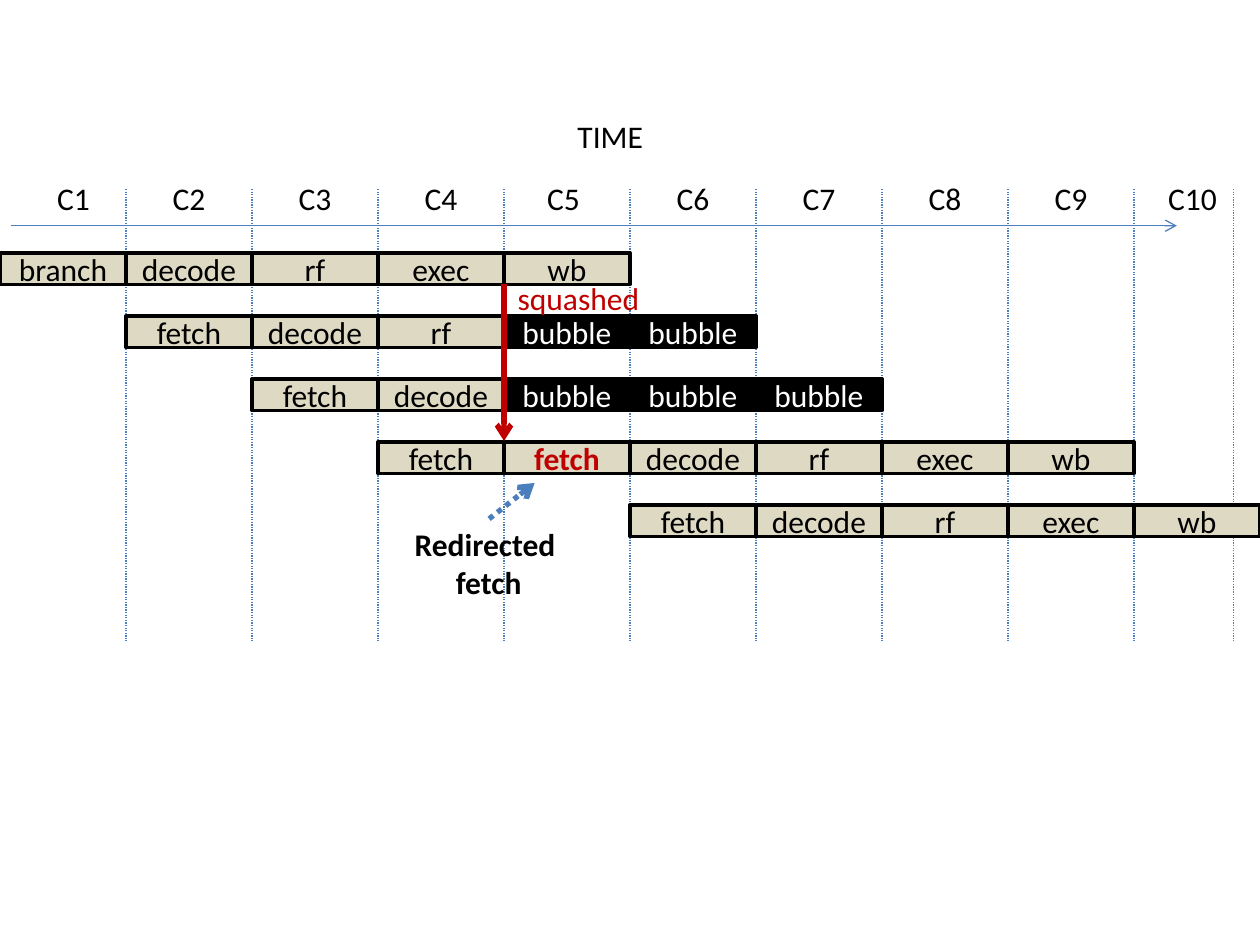
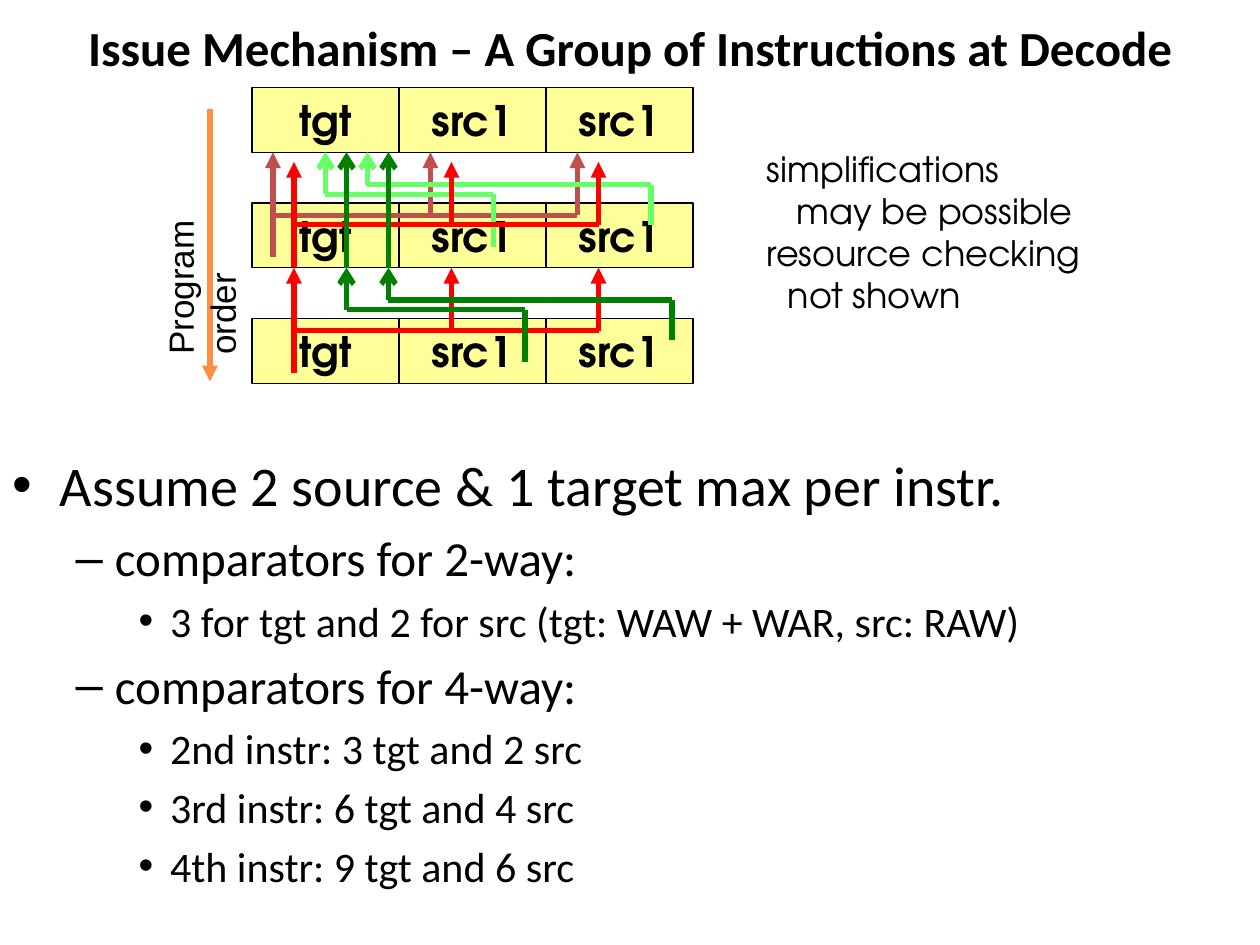
import pptx
import pptx.util
import pptx.dml.color
import pptx.enum.dml
import pptx.enum.shapes
import pptx.enum.text
import pptx.oxml.ns
from lxml import etree

Pt = pptx.util.Pt
ALIGN = pptx.enum.text.PP_ALIGN
FIT = pptx.enum.text.MSO_AUTO_SIZE
BLACK, WHITE, BLUE, RED = "000000", "FFFFFF", "4B7EBC", "C00000"
TAN, YELLOW, ROSE, SCARLET = "DDD9C3", "FFFF99", "C0504D", "FF0000"
LIME, GREEN, ORANGE = "66FF66", "008000", "FF8E41"
SANS, GEO = "Calibri", "TeX Gyre Adventor"


def rgb(code):
    return pptx.dml.color.RGBColor.from_string(code)


def tag(name):
    return pptx.oxml.ns.qn("a:" + name)


class Deck:
    def __init__(self):
        self.prs = pptx.Presentation()
        self.prs.slide_width, self.prs.slide_height = Pt(720), Pt(540)
        self.slide = None

    def page(self, layout):
        self.slide = self.prs.slides.add_slide(self.prs.slide_layouts[layout])

    def style(self, para, size, color=BLACK, bold=False, face=SANS):
        font = para.font
        font.name, font.size, font.bold = face, Pt(size), bold
        font.color.rgb = rgb(color)

    def title(self, text, x, y, w, h):
        shape = self.slide.shapes.title
        shape.left, shape.top, shape.width, shape.height = map(Pt, (x, y, w, h))
        shape.text_frame.text = text
        self.style(shape.text_frame.paragraphs[0], 28, bold=True)

    def points(self, items, x, y, w, h):
        """Fill the body placeholder from (level, text) pairs."""
        shape = self.slide.placeholders[1]
        shape.left, shape.top, shape.width, shape.height = map(Pt, (x, y, w, h))
        frame = shape.text_frame
        frame.auto_size = FIT.NONE
        frame.text = "\n".join(text for _, text in items)
        for para, (level, _) in zip(frame.paragraphs, items):
            para.level = level
            self.style(para, 32 - 4 * level)

    def cell(self, text, x, y, w, h, fill, edge, size, **look):
        shape = self.slide.shapes.add_shape(
            pptx.enum.shapes.MSO_SHAPE.RECTANGLE, Pt(x), Pt(y), Pt(w), Pt(h))
        shape.shadow.inherit = False
        shape.fill.solid()
        shape.fill.fore_color.rgb = rgb(fill)
        shape.line.color.rgb = rgb(BLACK)
        shape.line.width = Pt(edge)
        frame = shape.text_frame
        frame.text = text
        frame.vertical_anchor = pptx.enum.text.MSO_ANCHOR.MIDDLE
        frame.paragraphs[0].alignment = ALIGN.CENTER
        self.style(frame.paragraphs[0], size, **look)
        return shape

    def label(self, text, x, y, w, h, size=18, align=ALIGN.CENTER, grow=True, **look):
        shape = self.slide.shapes.add_textbox(Pt(x), Pt(y), Pt(w), Pt(h))
        frame = shape.text_frame
        frame.word_wrap = not grow
        frame.auto_size = FIT.SHAPE_TO_FIT_TEXT if grow else FIT.NONE
        frame.text = text
        for para in frame.paragraphs:
            para.alignment = align
            self.style(para, size, **look)
        return shape

    def line(self, x1, y1, x2, y2, color, width=3, head=None, dots=False):
        """Draw a straight line; head names the arrowhead at its end."""
        link = self.slide.shapes.add_connector(
            pptx.enum.shapes.MSO_CONNECTOR.STRAIGHT, Pt(x1), Pt(y1), Pt(x2), Pt(y2))
        link.line.color.rgb = rgb(color)
        link.line.width = Pt(width)
        if dots:
            link.line.dash_style = pptx.enum.dml.MSO_LINE.ROUND_DOT
        props = link._element.spPr
        if head:
            etree.SubElement(props.find(tag("ln")), tag("tailEnd"), type=head)
        etree.SubElement(props, tag("effectLst"))
        return link

    def fan(self, x, y, color):
        """Draw a trunk with its tip at x, y and a bar feeding two more tips."""
        bar = y + 36
        self.line(x, y + 60, x, y, color, head="triangle")
        self.line(x, bar, x + 174, bar, color)
        for step in (90, 174):
            self.line(x + step, bar, x + step, y, color, head="triangle")

    def hook(self, x, y, rise, span, drop, color):
        """Draw a bent path that ends in an arrow at x, y."""
        bend, end = y + rise, x + span
        self.line(end, bend + drop, end, bend, color)
        self.line(end, bend, x, bend, color)
        return self.line(x, bend, x, y, color, head="arrow")


def time_chart(deck):
    deck.page(6)
    step = 72
    deck.line(6.5, 129, 672.5, 129, BLUE, 0.75, "arrow")
    deck.label("TIME", 322.5, 63.5, 52.5, 29)
    for x in [step * n for n in range(1, 10)] + [705]:
        deck.line(x, 108, x, 366, BLUE, 0.75, dots=True)

    rows = [(0, "branch decode rf exec wb"),
            (1, "fetch decode rf bubble bubble"),
            (2, "fetch decode bubble bubble bubble"),
            (3, "fetch fetch decode rf exec wb"),
            (5, "fetch decode rf exec wb")]
    for row, (start, stages) in enumerate(rows):
        for col, stage in enumerate(stages.split(), start):
            late = (row, col) == (3, 4)
            idle = stage == "bubble"
            color = RED if late else WHITE if idle else BLACK
            deck.cell(stage, step * col, 144.5 + 36 * row, step, 18,
                      BLACK if idle else TAN, 2, 18, color=color, bold=late)

    shift = {1: 6, 5: -2, 10: -2.5}
    for n in range(1, 11):
        wide = 42 if n == 10 else 33
        mid = step * (n - 0.5) + shift.get(n, 0)
        deck.label(f"C{n}", mid - wide / 2, 99, wide, 29)

    deck.line(288, 162.5, 288, 252, RED, head="arrow")
    deck.label("squashed", 288, 156, 85, 29, color=RED)
    deck.label("Redirected \vfetch", 229.5, 296.5, 99.5, 51, bold=True)
    deck.line(279.5, 296.5, 305.5, 276, BLUE, head="arrow", dots=True)


def issue(deck):
    deck.page(1)
    deck.title("Issue Mechanism – A Group of Instructions at Decode", 36, -18, 648, 90)
    deck.points([(0, "Assume 2 source & 1 target max per instr."),
                 (1, "comparators for 2-way:"),
                 (2, "3 for tgt and 2 for src (tgt: WAW + WAR, src: RAW)"),
                 (1, "comparators for 4-way:"),
                 (2, "2nd instr: 3 tgt and 2 src"),
                 (2, "3rd instr: 6 tgt and 4 src"),
                 (2, "4th instr: 9 tgt and 6 src")], 0, 254, 720, 246)

    top, gap, high = 50, 66, 37
    cells = [[deck.cell(text, 144 + 84 * col, top + gap * row, 84, high,
                        YELLOW, 0.75, 24, bold=True, face=GEO)
              for col, text in enumerate(("tgt", "src1", "src1"))]
             for row in range(3)]
    first, second = top + high, top + gap + high

    deck.fan(156, first, ROSE)
    deck.hook(186, first, 24, 96, 30, LIME).end_connect(cells[0][0], 2)
    deck.hook(210, first, 18.5, 162, 23, LIME)
    deck.fan(168, second, SCARLET)
    deck.hook(198, second, 24, 102, 30, GREEN)
    deck.hook(222, second, 18.5, 162, 23, GREEN)
    deck.fan(168, first + 5.5, SCARLET)
    for x in (198, 222):
        deck.line(x, second, x, first, GREEN, head="arrow")

    notes = [(5, "simplifications"), (22, "may be possible"),
             (5, "resource checking"), (17, "not shown")]
    box = deck.label("\n".join(text for _, text in notes), 426, 80.5, 218, 103,
                     20, ALIGN.LEFT, False, face=GEO)
    for para, (inset, _) in zip(box.text_frame.paragraphs, notes):
        para._p.get_or_add_pPr().set("marL", str(Pt(inset)))

    deck.line(120, 62.5, 120, 218, ORANGE, head="triangle")
    order = deck.label("Program\vorder", 31, 122.5, 143.5, 31, 20,
                       ALIGN.LEFT, False, face="Arial")
    order.rotation = 270


def main():
    deck = Deck()
    time_chart(deck)
    issue(deck)
    deck.prs.save("out.pptx")


if __name__ == "__main__":
    main()
